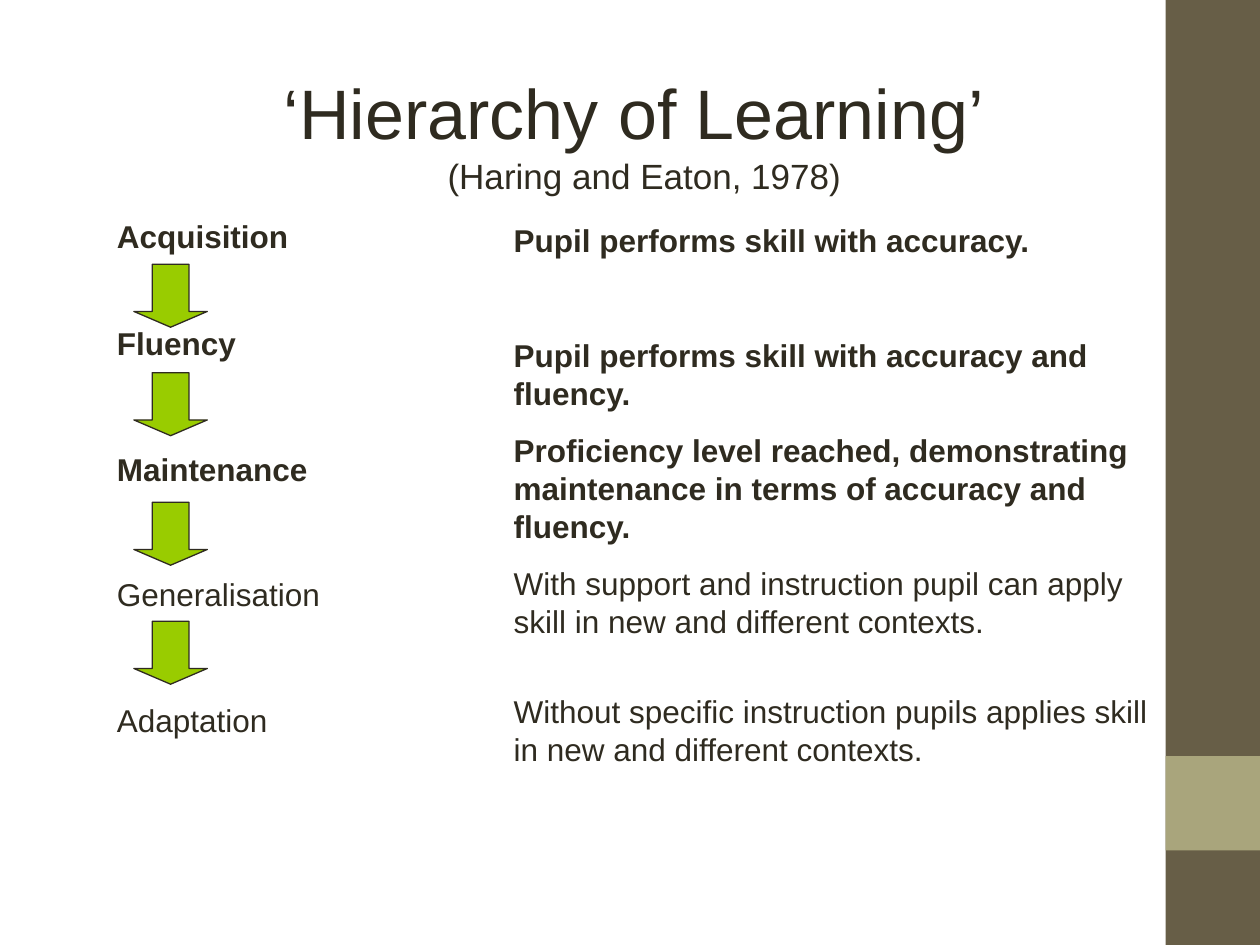
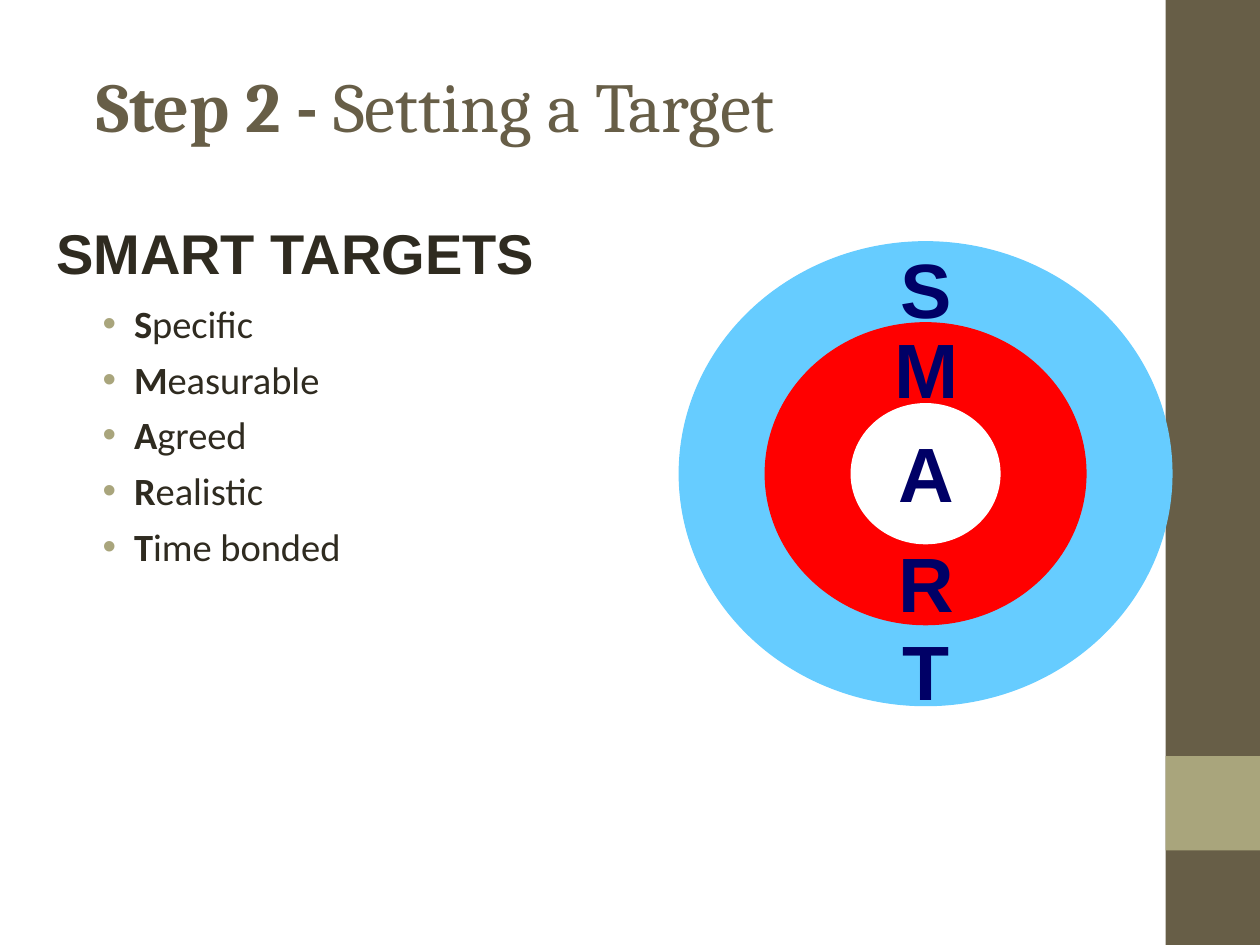
"""Build two teaching slides: the hierarchy of learning and SMART targets."""
from dataclasses import dataclass

import lxml.etree
import pptx
import pptx.dml.color
import pptx.enum.shapes
import pptx.enum.text
import pptx.oxml.ns
import pptx.util

Pt = pptx.util.Pt
ANCHOR = pptx.enum.text.MSO_ANCHOR
ALIGN = pptx.enum.text.PP_ALIGN
SHAPE = pptx.enum.shapes.MSO_SHAPE


@dataclass(frozen=True)
class Theme:
    olive: str = "675E47"
    sage: str = "A9A57C"
    ink: str = "2F2B20"
    navy: str = "000066"
    green: str = "99CC00"
    sky: str = "66CCFF"
    red: str = "FF0000"
    white: str = "FFFFFF"
    sans: str = "Arial"
    body: str = "Calibri"
    serif: str = "Cambria"
    title: int = 40
    letter: int = 44
    heading: int = 32
    bullet: int = 22
    subtitle: int = 20
    text: int = 18
    leading: float = 1.206


THEME = Theme()
WIDTH, HEIGHT = 720, 540
BAND_LEFT, BAND_WIDTH, ACCENT_TOP = 666, 54, 432

HIERARCHY_TITLE = "‘Hierarchy of Learning’"
HIERARCHY_SOURCE = "(Haring and Eaton, 1978)"
STAGES = [
    ("Acquisition", True, 0),
    ("Fluency", True, 41.6),
    ("Maintenance", True, 52.4),
    ("Generalisation", False, 52.4),
    ("Adaptation", False, 52.4),
]
DESCRIPTIONS = [
    ("Pupil performs skill with accuracy.", True, 0),
    ("Pupil performs skill with accuracy and fluency.", True, 44),
    ("Proficiency level reached, demonstrating maintenance in terms of "
     "accuracy and fluency.", True, 11),
    ("With support and instruction pupil can apply skill in new and "
     "different contexts.", False, 11),
    ("Without specific instruction pupils applies skill in new and "
     "different contexts.", False, 29.6),
]
ARROW_TOPS = [151, 213, 287, 355]

TARGET_TITLE = [("Step 2 -", True), (" Setting a Target", False)]
TARGET_HEADING = "SMART TARGETS"
TARGETS = ["Specific", "Measurable", "Agreed", "Realistic", "Time bonded"]
LETTER_CENTRES = [164, 210, 269.3, 332, 382.3]
RING_CENTRE = (528.9, 270.7)
RING_COLOURS = [THEME.sky, THEME.red, THEME.white]
BULLSEYE = (85, 80)
RING_STEP = (98.25, 92.5)


def colour(value):
    return pptx.dml.color.RGBColor.from_string(value)


def add_preset(shapes, preset, box, fill, line=None):
    shape = shapes.add_shape(preset, *map(Pt, box))
    shape.shadow.inherit = False
    shape.fill.solid()
    shape.fill.fore_color.rgb = colour(fill)
    if line:
        shape.line.color.rgb = colour(line)
        shape.line.width = Pt(0.75)
    else:
        shape.line.fill.background()
    return shape


def add_text_frame(shapes, box, anchor=ANCHOR.TOP, wrap=True):
    text_frame = shapes.add_textbox(*map(Pt, box)).text_frame
    text_frame.word_wrap = wrap
    text_frame.vertical_anchor = anchor
    return text_frame


def next_paragraph(text_frame):
    first = text_frame.paragraphs[0]
    return text_frame.add_paragraph() if first.runs else first


def format_run(run, size, bold=False, ink=THEME.ink, font=THEME.sans):
    run.font.size = Pt(size)
    run.font.bold = bold
    run.font.name = font
    run.font.color.rgb = colour(ink)


def add_runs(paragraph, parts, size, ink=THEME.ink, font=THEME.sans):
    for text, bold in parts:
        run = paragraph.add_run()
        run.text = text
        format_run(run, size, bold, ink, font)


def add_line(text_frame, text, size, bold=False, ink=THEME.ink,
             align=ALIGN.LEFT, before=0, tightness=1):
    paragraph = next_paragraph(text_frame)
    paragraph.text = text
    paragraph.alignment = align
    paragraph.line_spacing = Pt(round(size * THEME.leading * tightness, 1))
    if before:
        paragraph.space_before = Pt(before)
    format_run(paragraph.runs[0], size, bold, ink)
    return paragraph


def add_bullet(paragraph):
    properties = paragraph._p.get_or_add_pPr()
    properties.set("marL", str(Pt(27)))
    properties.set("indent", str(-Pt(18)))
    qualified = pptx.oxml.ns.qn
    bullet_colour = lxml.etree.SubElement(properties, qualified("a:buClr"))
    lxml.etree.SubElement(bullet_colour, qualified("a:srgbClr"), val=THEME.sage)
    lxml.etree.SubElement(properties, qualified("a:buFont"), typeface=THEME.sans)
    lxml.etree.SubElement(properties, qualified("a:buChar"), char="•")


def add_slide(presentation):
    slide = presentation.slides.add_slide(presentation.slide_layouts[6])
    add_preset(slide.shapes, SHAPE.RECTANGLE,
               (BAND_LEFT, 0, BAND_WIDTH, HEIGHT), THEME.olive)
    add_preset(slide.shapes, SHAPE.RECTANGLE,
               (BAND_LEFT, ACCENT_TOP, BAND_WIDTH, BAND_WIDTH), THEME.sage)
    return slide


def build_hierarchy(presentation):
    shapes = add_slide(presentation).shapes
    title = add_text_frame(shapes, (31, 37.5, 674.5, 72.7), ANCHOR.MIDDLE)
    heading = add_line(title, HIERARCHY_TITLE, THEME.title, align=ALIGN.CENTER)
    heading.line_spacing = Pt(53)
    add_runs(heading, [(" ", True)], THEME.letter)
    add_line(title, HIERARCHY_SOURCE, THEME.subtitle, align=ALIGN.CENTER)

    columns = [
        (STAGES, (59.7, 122.4, 240, 312), 0.9),
        (DESCRIPTIONS, (286.5, 122.4, 390, 320), 1),
    ]
    for rows, box, tightness in columns:
        text_frame = add_text_frame(shapes, box)
        for text, bold, before in rows:
            add_line(text_frame, text, THEME.text, bold,
                     before=before, tightness=tightness)

    for top in ARROW_TOPS:
        arrow = add_preset(shapes, SHAPE.DOWN_ARROW, (76.5, top, 42, 36),
                           THEME.green, THEME.ink)
        arrow.adjustments[1] = 0.25


def build_targets(presentation):
    shapes = add_slide(presentation).shapes
    title = add_text_frame(shapes, (48, 15, 612, 90), ANCHOR.MIDDLE)
    add_runs(title.paragraphs[0], TARGET_TITLE, THEME.title,
             THEME.olive, THEME.serif)

    bullets = add_text_frame(shapes, (42.5, 167.8, 278, 273))
    for index, word in enumerate(TARGETS):
        paragraph = next_paragraph(bullets)
        if index:
            paragraph.space_before = Pt(5.5)
        add_bullet(paragraph)
        add_runs(paragraph, [(word[0], True), (word[1:], False)],
                 THEME.bullet, font=THEME.body)

    target = shapes.add_group_shape().shapes
    centre_x, centre_y = RING_CENTRE
    for index, fill in enumerate(RING_COLOURS):
        steps = len(RING_COLOURS) - 1 - index
        width, height = (core + steps * step
                         for core, step in zip(BULLSEYE, RING_STEP))
        add_preset(target, SHAPE.OVAL,
                   (centre_x - width / 2, centre_y - height / 2, width, height),
                   fill, fill)
    for word, centre in zip(TARGETS, LETTER_CENTRES):
        letter = add_text_frame(target, (centre_x - 25, centre - 30, 51, 60),
                                ANCHOR.MIDDLE, wrap=False)
        add_line(letter, word[0], THEME.letter, True, THEME.navy, ALIGN.CENTER)

    heading = add_text_frame(shapes, (25, 116.6, 318, 50.4), ANCHOR.BOTTOM)
    add_line(heading, TARGET_HEADING, THEME.heading, True)


def main():
    presentation = pptx.Presentation()
    presentation.slide_width, presentation.slide_height = Pt(WIDTH), Pt(HEIGHT)
    build_hierarchy(presentation)
    build_targets(presentation)
    presentation.save("out.pptx")


if __name__ == "__main__":
    main()
